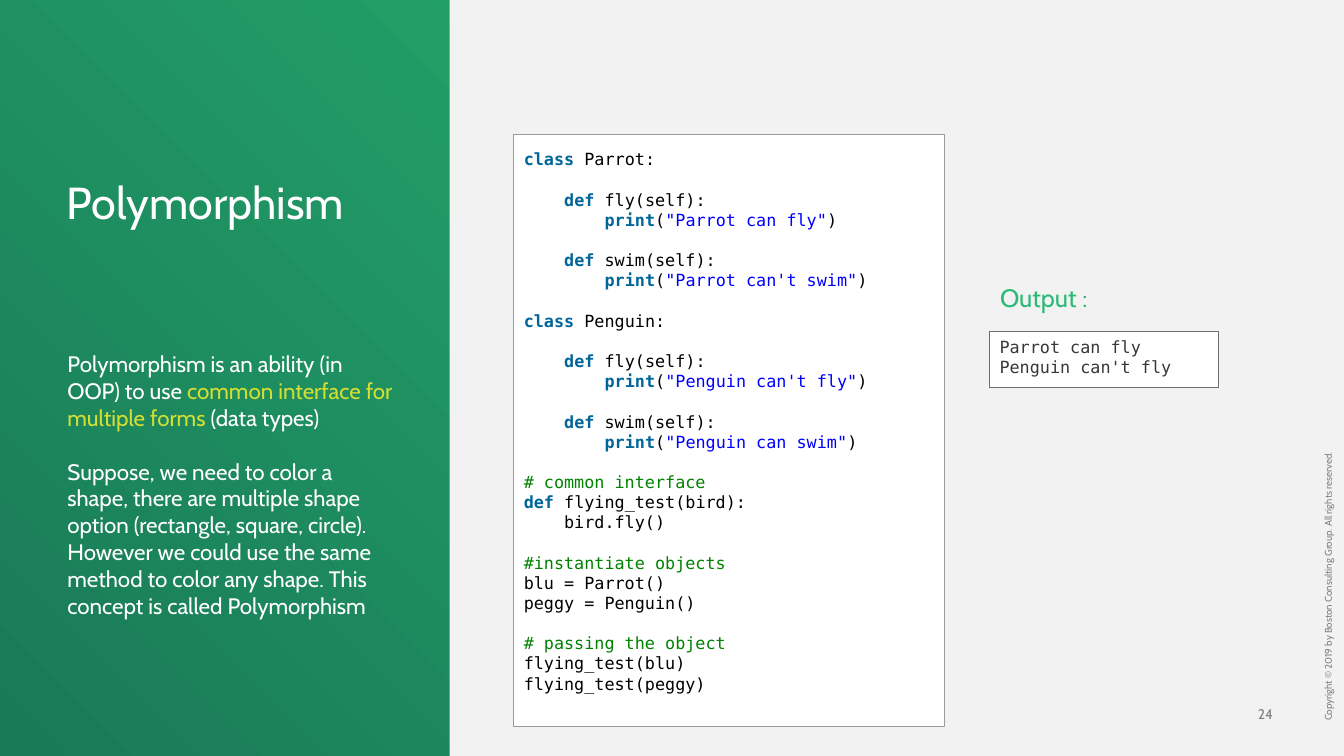
from dataclasses import dataclass
from typing import Optional

from pptx import Presentation
from pptx.dml.color import RGBColor
from pptx.enum.shapes import MSO_SHAPE
from pptx.enum.text import MSO_ANCHOR as Anchor, PP_ALIGN as Align
from pptx.util import Cm, Pt


@dataclass(frozen=True)
class Theme:
    sans: str = "Cabin"
    mono: str = "DejaVu Sans Mono"
    green: str = "29BA74"
    dark_green: str = "197A56"
    panel: str = "F2F2F2"
    white: str = "FFFFFF"
    highlight: str = "D4DF33"
    muted: str = "808080"
    code_border: str = "9A9A9A"
    output_border: str = "6E6F73"
    output_text: str = "37373A"
    code: str = "000000"
    keyword: str = "006699"
    string: str = "0000FF"
    comment: str = "008200"
    title_size: float = 32
    heading_size: float = 18
    body_size: float = 16
    code_size: float = 12
    number_size: float = 10
    copyright_size: float = 7
    body_gap: float = 19.2
    code_gap: float = 14.4


THEME = Theme()


@dataclass(frozen=True)
class Box:
    left: float
    top: float
    width: float
    height: float


@dataclass(frozen=True)
class Span:
    text: str
    color: str
    bold: bool = False


@dataclass(frozen=True)
class Line:
    spans: list[Span]
    gap: float = 0


@dataclass(frozen=True)
class Block:
    box: Box
    lines: list[Line]
    size: float
    font: str = THEME.sans
    align: Align = Align.LEFT
    anchor: Anchor = Anchor.MIDDLE
    inset_x: float = 0.25
    inset_y: float = 0.13
    spacing: Optional[float] = None
    rotation: float = 0
    border: Optional[str] = None


KEYWORDS = ("class", "def", "print")

CODE = """class Parrot:

    def fly(self):
        print("Parrot can fly")

    def swim(self):
        print("Parrot can't swim")

class Penguin:

    def fly(self):
        print("Penguin can't fly")

    def swim(self):
        print("Penguin can swim")

# common interface
def flying_test(bird):
    bird.fly()

#instantiate objects
blu = Parrot()
peggy = Penguin()

# passing the object
flying_test(blu)
flying_test(peggy)"""


def highlight_line(source: str) -> list[Span]:
    if source.startswith("#"):
        return [Span(source, THEME.comment)]
    body = source.lstrip()
    indent = source[:len(source) - len(body)]
    keyword = next((word for word in KEYWORDS if body.startswith(word)), "")
    before, quote, rest = body[len(keyword):].partition('"')
    literal, closing, after = rest.partition('"')
    spans = [
        Span(indent, THEME.code),
        Span(keyword, THEME.keyword, True),
        Span(before, THEME.code),
        Span(quote + literal + closing, THEME.string),
        Span(after, THEME.code),
    ]
    return [span for span in spans if span.text]


def highlight_code(source: str) -> list[Line]:
    return [
        Line(highlight_line(row), THEME.code_gap if section and not position else 0)
        for section, rows in enumerate(source.split("\n\n"))
        for position, row in enumerate(rows.split("\n"))
    ]


def plain(text: str, color: str, gap: float = 0) -> Line:
    return Line([Span(text, color)], gap)


def add_panel(slide, box: Box, fill: str, border: Optional[str] = None):
    panel = slide.shapes.add_shape(
        MSO_SHAPE.RECTANGLE, Cm(box.left), Cm(box.top), Cm(box.width), Cm(box.height))
    panel.shadow.inherit = False
    panel.fill.solid()
    panel.fill.fore_color.rgb = RGBColor.from_string(fill)
    if border:
        panel.line.color.rgb = RGBColor.from_string(border)
        panel.line.width = Pt(0.75)
    else:
        panel.line.fill.background()
    return panel


def add_block(slide, block: Block) -> None:
    box = block.box
    if block.border:
        holder = add_panel(slide, box, THEME.white, block.border)
    else:
        holder = slide.shapes.add_textbox(
            Cm(box.left), Cm(box.top), Cm(box.width), Cm(box.height))
    holder.rotation = block.rotation
    frame = holder.text_frame
    frame.word_wrap = True
    frame.vertical_anchor = block.anchor
    frame.margin_left = frame.margin_right = Cm(block.inset_x)
    frame.margin_top = frame.margin_bottom = Cm(block.inset_y)
    for index, line in enumerate(block.lines):
        paragraph = frame.add_paragraph() if index else frame.paragraphs[0]
        paragraph.alignment = block.align
        if block.spacing:
            paragraph.line_spacing = block.spacing
        if line.gap:
            paragraph.space_before = Pt(line.gap)
        for span in line.spans:
            run = paragraph.add_run()
            run.text = span.text
            run.font.name = block.font
            run.font.size = Pt(block.size)
            run.font.bold = span.bold
            run.font.color.rgb = RGBColor.from_string(span.color)


def paint_background(slide) -> None:
    fill = slide.background.fill
    fill.gradient()
    fill.gradient_angle = 225
    for stop, color, position in zip(
            fill.gradient_stops, (THEME.green, THEME.dark_green), (0, 1)):
        stop.color.rgb = RGBColor.from_string(color)
        stop.position = position


BLOCKS = [
    Block(Box(26.37, 10.9, 14.25, 0.28),
          [plain("Copyright © 2019 by Boston Consulting Group. All rights reserved.", THEME.muted)],
          THEME.copyright_size, anchor=Anchor.TOP, inset_x=0, inset_y=0,
          spacing=0.9, rotation=270),
    Block(Box(31.01, 17.78, 1.07, 0.43), [plain("24", THEME.muted)], THEME.number_size,
          align=Align.RIGHT, anchor=Anchor.BOTTOM, inset_x=0, inset_y=0),
    Block(Box(0.84, 4.55, 8.69, 1.24), [plain("Polymorphism", THEME.white)], THEME.title_size,
          align=Align.CENTER, inset_x=0, inset_y=0, spacing=0.9),
    Block(Box(1.45, 6.1, 8.79, 12.22), [
        Line([Span("Polymorphism is an ability (in OOP) to use", THEME.white),
              Span(" common interface for multiple forms", THEME.highlight),
              Span(" (data types)", THEME.white)]),
        plain("Suppose, we need to color a shape, there are multiple shape option "
              "(rectangle, square, circle). However we could use the same method to color "
              "any shape. This concept is called Polymorphism", THEME.white, THEME.body_gap),
    ], THEME.body_size),
    Block(Box(24.77, 7.06, 3.07, 0.86), [plain("Output :", THEME.green)], THEME.heading_size,
          align=Align.CENTER),
    Block(Box(12.95, 3.4, 10.85, 14.91), highlight_code(CODE), THEME.code_size, THEME.mono,
          anchor=Anchor.TOP, inset_y=0.36, border=THEME.code_border),
    Block(Box(24.94, 8.36, 5.77, 1.4),
          [plain("Parrot can fly", THEME.output_text),
           plain("Penguin can't fly", THEME.output_text)],
          THEME.code_size, THEME.mono, anchor=Anchor.TOP, border=THEME.output_border),
]


def main() -> None:
    deck = Presentation()
    deck.slide_width, deck.slide_height = Cm(33.87), Cm(19.05)
    slide = deck.slides.add_slide(deck.slide_layouts[6])
    paint_background(slide)
    add_panel(slide, Box(11.33, 0, 22.54, 19.05), THEME.panel)
    for block in BLOCKS:
        add_block(slide, block)
    deck.save("out.pptx")


if __name__ == "__main__":
    main()
